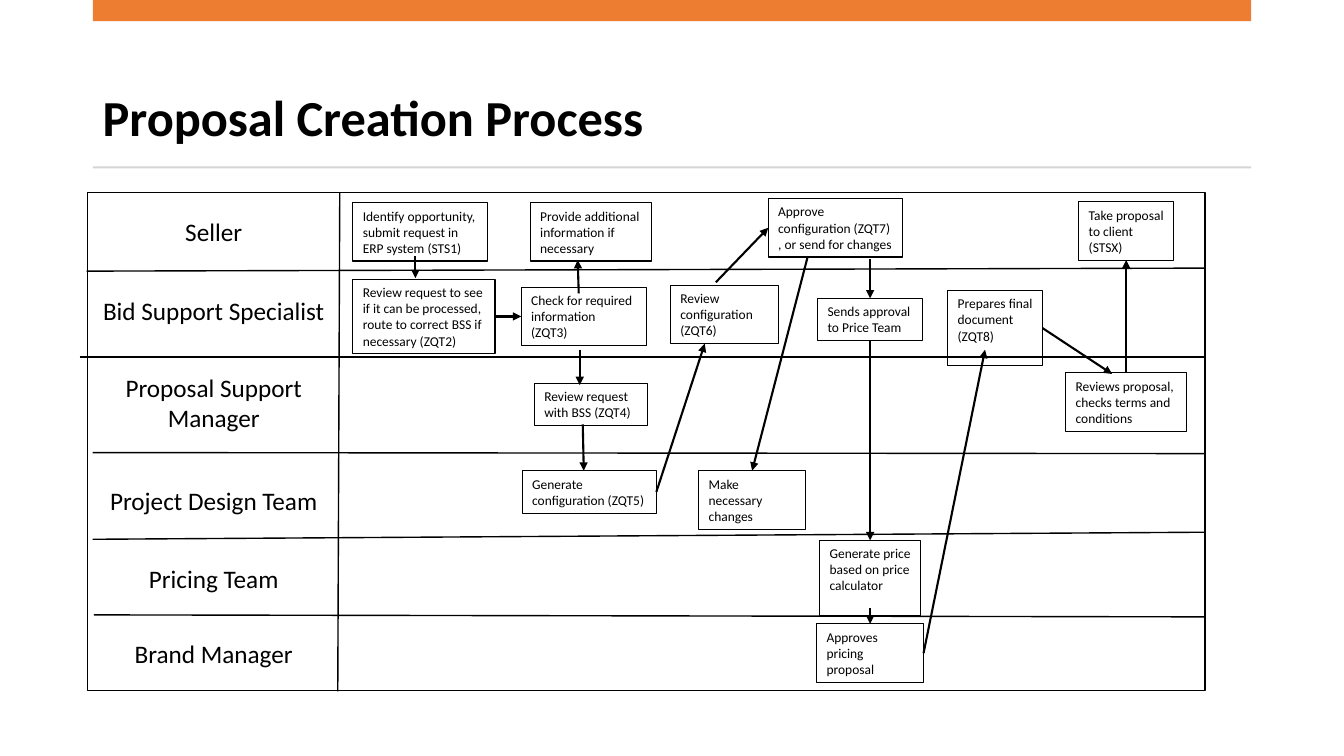
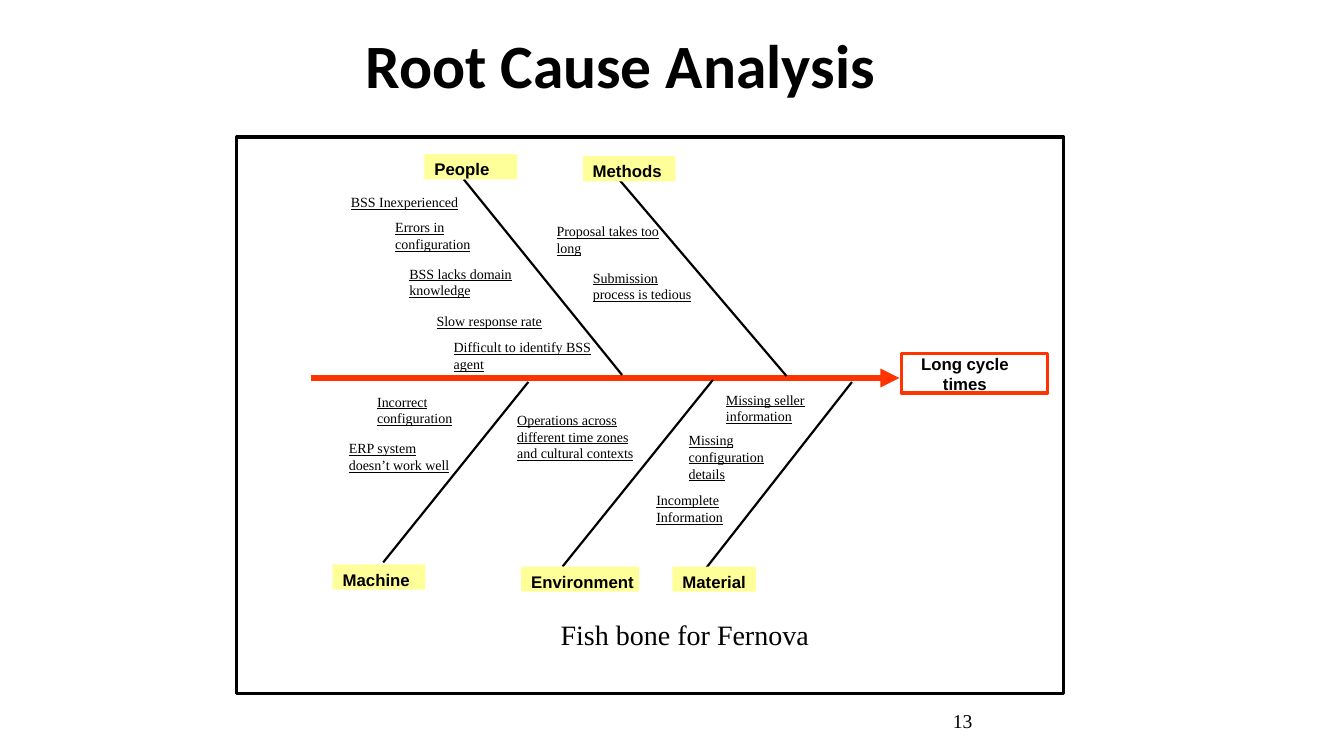
"""Build the proposal process swimlane and the root cause fishbone slides."""
from lxml import etree
from pptx import Presentation
from pptx.dml.color import RGBColor
from pptx.enum import shapes, text
from pptx.oxml import ns
from pptx.util import Inches, Pt

BLACK = RGBColor(0x00, 0x00, 0x00)
WHITE = RGBColor(0xFF, 0xFF, 0xFF)
ORANGE = RGBColor(0xED, 0x7D, 0x31)
RULE_GREY = RGBColor(0xD5, 0xD5, 0xD5)
SPINE_RED = RGBColor(0xFF, 0x33, 0x00)
LABEL_YELLOW = RGBColor(0xFF, 0xFF, 0x99)

BODY, LABEL, CAUSE = "Calibri", "Arial", "Times New Roman"
CENTER = text.PP_ALIGN.CENTER
MIDDLE = text.MSO_ANCHOR.MIDDLE
TOP, LEFT, BOTTOM, RIGHT = range(4)
LANE_LEFT, LANE_RIGHT, LANE_TOP = 0.87, 11.95, 1.91
LABEL_HEIGHT = 0.25

LANES = [
    ("Seller", 2.1),
    ("Bid Support Specialist", 2.88),
    ("Proposal Support Manager", 3.64),
    ("Project Design Team", 4.77),
    ("Pricing Team", 5.54),
    ("Brand Manager", 6.28),
]
LANE_LINES = [
    ((0.86, 2.69), (11.94, 2.66)),
    ((3.37, LANE_TOP), (3.35, 6.86)),
    ((0.79, 3.54), (11.94, 3.54)),
    ((0.92, 4.49), (11.94, 4.5)),
    ((0.92, 5.35), (11.94, 5.28)),
    ((0.93, 6.1), (11.94, 6.12)),
]
STEPS = {
    "identify": ("Identify opportunity, submit request in ERP system (STS1)",
                 (3.5, 2.01, 1.34, 0.58)),
    "route": ("Review request to see if it can be processed, "
              "route to correct BSS if necessary (ZQT2)",
              (3.5, 2.77, 1.41, 0.74)),
    "check": ("Check for required information\n(ZQT3)",
              (5.17, 2.85, 1.24, 0.58)),
    "provide": ("Provide additional information if necessary",
                (5.26, 2.01, 1.2, 0.58)),
    "review": ("Review request with BSS (ZQT4)", (5.3, 3.8, 1.12, 0.42)),
    "generate": ("Generate configuration (ZQT5)", (5.18, 4.67, 1.33, 0.42)),
    "configuration": ("Review configuration (ZQT6)",
                      (6.65, 2.83, 1.07, 0.58)),
    "approve": ("Approve configuration (ZQT7)\n, or send for changes",
                (7.62, 1.97, 1.33, 0.58)),
    "prepare": ("Prepares final document (ZQT8)", (9.4, 2.88, 0.94, 0.75)),
    "price": ("Generate price based on price calculator",
              (8.13, 5.36, 1, 0.75)),
    "change": ("Make necessary changes", (6.93, 4.67, 1.06, 0.58)),
    "send": ("Sends approval to Price Team", (8.11, 2.96, 1.04, 0.42)),
    "pricing": ("Approves pricing proposal", (8.1, 6.19, 1.06, 0.58)),
    "terms": ("Reviews proposal, checks terms and conditions",
              (10.57, 3.7, 1.2, 0.58)),
    "client": ("Take proposal to client (STSX)", (10.7, 2, 0.94, 0.58)),
}
FLOWS = [
    ((4.12, 2.54), (4.12, 2.76)),
    (("route", RIGHT), ("check", LEFT)),
    ((5.74, 2.91), (5.73, 2.58)),
    ((5.75, 3.47), (5.75, 3.82)),
    (("generate", RIGHT), (6.99, 3.41)),
    ((8.01, 2.55), ("change", TOP)),
    ((7.1, 2.8), ("approve", LEFT)),
    ((5.78, 4.21), (5.79, 4.67)),
    (("terms", TOP), ("client", BOTTOM)),
    (("send", BOTTOM), ("price", TOP)),
    ((8.63, 2.57), ("send", TOP)),
    (("prepare", RIGHT), (11.03, 3.71)),
    (("pricing", RIGHT), (9.77, 3.47)),
    ((8.63, 6.03), ("pricing", TOP)),
]
CATEGORIES = [
    ("People", (4.21, 1.53), 0.92, (4.6, 1.78), (6.17, 3.72)),
    ("Methods", (5.78, 1.55), 0.92, (6.14, 1.78), (7.8, 3.73)),
    ("Machine", (3.3, 5.6), 0.92, (3.8, 5.58), (5.24, 3.79)),
    ("Environment", (5.17, 5.62), 1.17, (5.58, 5.62), (7.07, 3.77)),
    ("Material", (6.67, 5.62), 0.83, (7, 5.64), (8.45, 3.79)),
]
CAUSES = [
    ("BSS Inexperienced", (3.48, 1.92, 1.2, 0.17)),
    ("Errors in configuration", (3.92, 2.17, 1.18, 0.34)),
    ("BSS lacks domain knowledge", (4.06, 2.63, 1.09, 0.34)),
    ("Slow response rate", (4.33, 3.1, 1.76, 0.17)),
    ("Difficult to identify BSS agent", (4.5, 3.36, 1.5, 0.34)),
    ("Proposal takes too long", (5.52, 2.21, 1.15, 0.34)),
    ("Submission process is tedious", (5.88, 2.67, 1.05, 0.34)),
    ("Incomplete Information", (6.51, 4.88, 0.8, 0.34)),
    ("Missing configuration details", (6.83, 4.28, 0.95, 0.5)),
    ("Missing seller information", (7.2, 3.88, 0.95, 0.34)),
    ("Operations across different time zones and cultural contexts",
     (5.13, 4.08, 1.28, 0.5)),
    ("ERP system doesn’t work well", (3.46, 4.36, 1.05, 0.34)),
    ("Incorrect configuration", (3.74, 3.9, 1.18, 0.34)),
]


def write(holder, words, size, font=BODY, bold=False, underline=False,
          align=text.PP_ALIGN.LEFT, anchor=text.MSO_ANCHOR.TOP,
          insets=(0.1, 0.05, 0.1, 0.05), spacing=None):
    """Put formatted words into a shape, breaking lines at newlines."""
    frame = holder.text_frame
    frame.word_wrap = True
    frame.vertical_anchor = anchor
    (frame.margin_left, frame.margin_top,
     frame.margin_right, frame.margin_bottom) = map(Inches, insets)
    paragraph = frame.paragraphs[0]
    paragraph.alignment = align
    if spacing:
        paragraph.line_spacing = spacing
    for index, line in enumerate(words.split("\n")):
        if index:
            paragraph.add_line_break()
        run = paragraph.add_run()
        run.text = line
        run.font.name = font
        run.font.size = Pt(size)
        run.font.bold = bold
        run.font.underline = underline
        run.font.color.rgb = BLACK


def add_words(slide, words, place, size, **style):
    """Add a text box holding formatted words."""
    write(slide.shapes.add_textbox(*map(Inches, place)), words, size, **style)


def add_title(slide, words, place, size, **style):
    """Add a slide title in the shared bold style."""
    add_words(slide, words, place, size, bold=True, anchor=MIDDLE, **style)


def add_box(slide, place, fill=None, line=None, width=1):
    """Add a plain rectangle with an optional fill and outline."""
    box = slide.shapes.add_shape(shapes.MSO_SHAPE.RECTANGLE,
                                 *map(Inches, place))
    box.shadow.inherit = False
    if fill is None:
        box.fill.background()
    else:
        box.fill.solid()
        box.fill.fore_color.rgb = fill
    if line is None:
        box.line.fill.background()
    else:
        box.line.color.rgb = line
        box.line.width = Pt(width)
    return box


def add_line(slide, start, end, width, color=BLACK, arrow=False):
    """Add a straight line, with an arrowhead at its end if asked."""
    points = [Inches(value) for value in (*start, *end)]
    line = slide.shapes.add_connector(shapes.MSO_CONNECTOR.STRAIGHT, *points)
    line.line.color.rgb = color
    line.line.width = Pt(width)
    if arrow:
        etree.SubElement(line.line._get_or_add_ln(), ns.qn("a:tailEnd"),
                         type="triangle")
    etree.SubElement(line._element.spPr, ns.qn("a:effectLst"))
    return line


def add_flow(slide, steps, start, end):
    """Add an arrow whose ends are points or sides of named steps."""
    joins = [isinstance(tip[0], str) for tip in (start, end)]
    points = [(0, 0) if joined else tip
              for joined, tip in zip(joins, (start, end))]
    flow = add_line(slide, *points, 1.5, arrow=True)
    if joins[0]:
        flow.begin_connect(steps[start[0]], start[1])
    if joins[1]:
        flow.end_connect(steps[end[0]], end[1])


def build_process(slide):
    """Draw the swimlane of the proposal process."""
    add_title(slide, "Proposal Creation Process", (0.92, 0.82, 11.49, 0.74),
              36, spacing=0.9)
    add_box(slide, (0.92, 0, 11.49, 0.21), fill=ORANGE)
    add_box(slide, (0.92, 1.65, 11.49, 0.02), fill=RULE_GREY)
    add_box(slide, (LANE_LEFT, LANE_TOP, LANE_RIGHT - LANE_LEFT, 4.94),
            fill=WHITE, line=BLACK)
    for start, end in LANE_LINES:
        add_line(slide, start, end, 1)
    for role, top in LANES:
        add_words(slide, role, (0.86, top, 2.52, 0.4), 18, align=CENTER)
    steps = {}
    for key, (words, place) in STEPS.items():
        steps[key] = add_box(slide, place, line=BLACK, width=0.75)
        write(steps[key], words, 9.6)
    for start, end in FLOWS:
        add_flow(slide, steps, start, end)


def build_fishbone(slide):
    """Draw the fishbone of causes behind long cycle times."""
    flush = (0, 0, 0, 0)
    add_title(slide, "Root Cause Analysis", (0, 0.26, 12.31, 0.74), 44,
              align=CENTER, insets=flush)
    add_box(slide, (2.35, 1.36, 8.2, 5.52), line=BLACK, width=2.28)
    add_line(slide, (3.08, 3.75), (8.92, 3.75), 4.5, SPINE_RED, arrow=True)
    effect = add_box(slide, (8.94, 3.51, 1.45, 0.39), line=SPINE_RED,
                     width=2.28)
    write(effect, "Long cycle times", 12, font=LABEL, bold=True, align=CENTER,
          insets=(0, 0, 0.19, 0), spacing=Pt(14.3))
    for name, corner, width, start, end in CATEGORIES:
        add_line(slide, start, end, 1.56)
        category = add_box(slide, (*corner, width, LABEL_HEIGHT),
                           fill=LABEL_YELLOW)
        write(category, name, 12, font=LABEL, bold=True,
              insets=(0.1, 0.05, 0, 0))
    for words, place in CAUSES:
        add_words(slide, words, place, 10, font=CAUSE, underline=True,
                  insets=flush)
    add_words(slide, "Fish bone for Fernova", (5.56, 6.13, 2.9, 0.34), 20,
              font=CAUSE, insets=flush)
    add_words(slide, "13", (9.45, 6.95, 3, 0.4), 14, font=CAUSE,
              anchor=MIDDLE, insets=flush, spacing=Pt(16.4))


def main():
    """Build and save both slides."""
    deck = Presentation()
    deck.slide_width, deck.slide_height = Inches(13.33), Inches(7.5)
    for build in (build_process, build_fishbone):
        build(deck.slides.add_slide(deck.slide_layouts[6]))
    deck.save("out.pptx")


if __name__ == "__main__":
    main()
